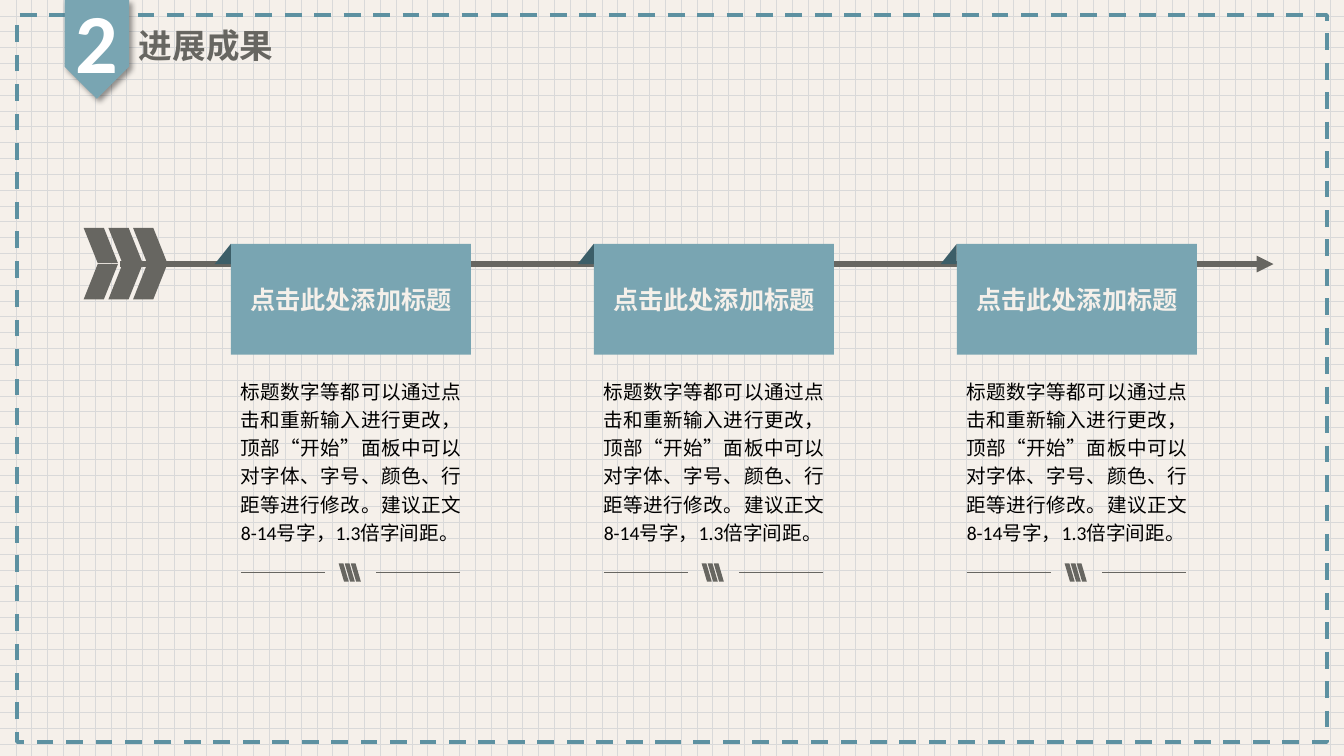
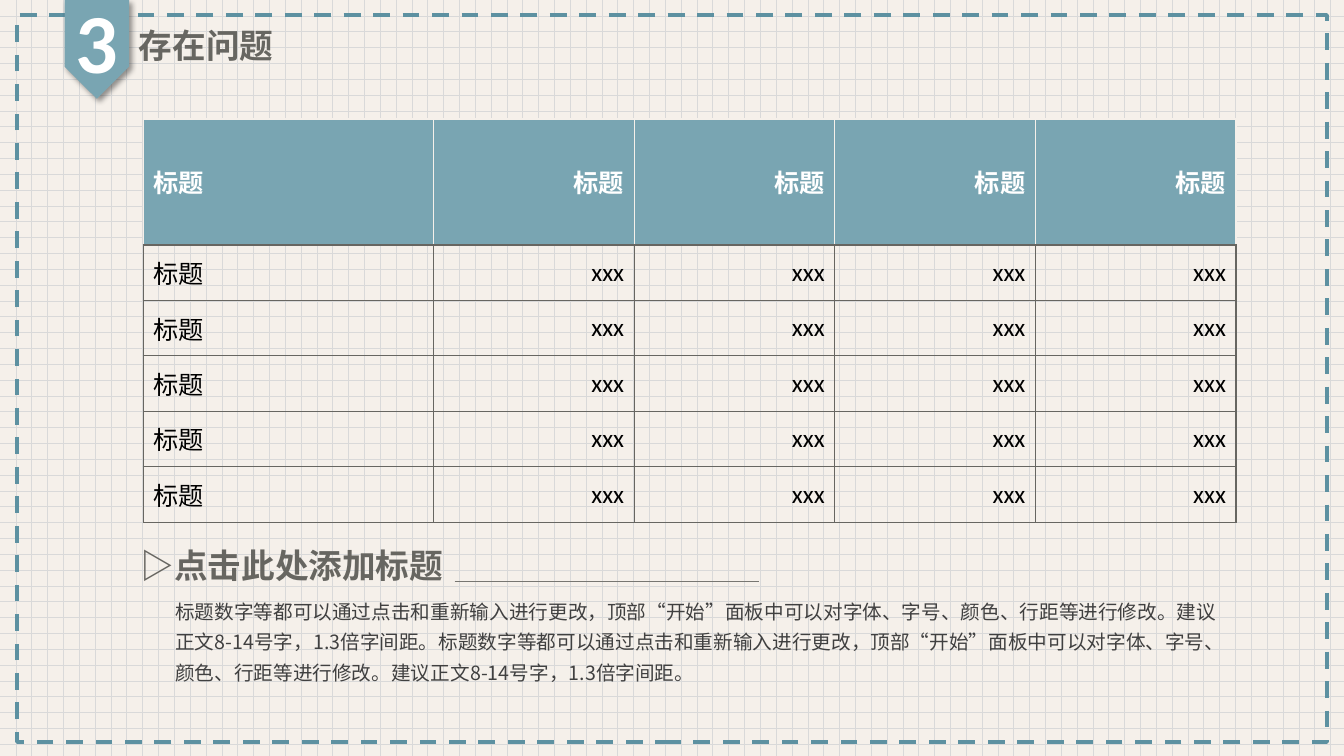
from dataclasses import dataclass

from lxml import etree
from pptx import Presentation
from pptx.dml.color import RGBColor
from pptx.enum.dml import MSO_LINE, MSO_PATTERN
from pptx.enum.shapes import MSO_CONNECTOR, MSO_SHAPE
from pptx.enum.text import MSO_ANCHOR, MSO_AUTO_SIZE, PP_ALIGN
from pptx.oxml import parse_xml
from pptx.oxml.ns import qn
from pptx.util import Inches, Pt

LEFT, RIGHT, CENTER = PP_ALIGN.LEFT, PP_ALIGN.RIGHT, PP_ALIGN.CENTER
JUSTIFY, MIDDLE = PP_ALIGN.JUSTIFY, MSO_ANCHOR.MIDDLE
GROW, STRAIGHT = MSO_AUTO_SIZE.SHAPE_TO_FIT_TEXT, MSO_CONNECTOR.STRAIGHT
RECT, TAG, SLANT = MSO_SHAPE.RECTANGLE, MSO_SHAPE.PENTAGON, MSO_SHAPE.PARALLELOGRAM
FOLD, DASH, GRID = MSO_SHAPE.ISOSCELES_TRIANGLE, MSO_LINE.DASH, MSO_PATTERN.DOTTED_GRID
NS = 'xmlns:a="http://schemas.openxmlformats.org/drawingml/2006/main"'


@dataclass(frozen=True)
class Theme:
    paper: str = "F5F0EA"
    grid: str = "D9D9D9"
    frame: str = "5D91A1"
    teal: str = "79A5B2"
    deep: str = "3C5E68"
    gray: str = "676661"
    rule: str = "777671"
    body: str = "404040"
    black: str = "000000"
    white: str = "FFFFFF"
    latin: str = "Calibri"
    asian: str = "Noto Sans CJK SC"
    digit: int = 60
    title: int = 24
    label: int = 18
    small: int = 14


T = Theme()
rgb = RGBColor.from_string

HINT = ("标题数字等都可以通过点击和重新输入进行更改，顶部“开始”面板中可以对字体、字号、"
        "颜色、行距等进行修改。建议正文8-14号字，1.3倍字间距。")
HEAD = "点击此处添加标题"


def draw(slide, kind, box, fill=None, adjust=None, flip=False):
    """Add a flat shape without outline; box is left, top, width, height in inches."""
    shape = slide.shapes.add_shape(kind, *map(Inches, box))
    shape.shadow.inherit = False
    shape.line.fill.background()
    if fill:
        shape.fill.solid()
        shape.fill.fore_color.rgb = rgb(fill)
    else:
        shape.fill.background()
    if adjust is not None:
        shape.adjustments[0] = adjust
    if flip:
        shape.element.spPr.get_or_add_xfrm().set("flipH", "1")
    return shape


def write(text, frame, size, color, bold=False, align=LEFT, font=T.latin, space=None):
    """Put one run into the first paragraph of a text frame."""
    para = frame.paragraphs[0]
    para.alignment = align
    para.line_spacing = space
    run = para.add_run()
    run.text = text
    run.font.size = Pt(size)
    run.font.bold = bold
    run.font.name = font
    run.font.color.rgb = rgb(color)
    props = run.font._element
    props.set("lang", "zh-CN")
    props.find(qn("a:latin")).addnext(parse_xml(f'<a:ea {NS} typeface="{T.asian}"/>'))


deck = Presentation()
deck.slide_width, deck.slide_height = Inches(13.33), Inches(7.5)
blank = deck.slide_layouts[6]
steps, issues = (deck.slides.add_slide(blank) for _ in range(2))

# Shared master: grid paper and dashed frame
master = deck.slide_master
paper = master.background.fill
paper.patterned()
paper.pattern = GRID
paper.fore_color.rgb = rgb(T.grid)
paper.back_color.rgb = rgb(T.paper)

border = draw(steps, RECT, (0.17, 0.15, 12.99, 7.21))
border.line.color.rgb = rgb(T.frame)
border.line.width = Pt(3)
border.line.dash_style = DASH
border.element.nvSpPr.cNvPr.set("id", "20")
master.shapes.element.append(border.element)

# Numbered tag and title
for slide, digit, title in ((steps, "2", "进展成果"), (issues, "3", "存在问题")):
    tag = draw(slide, TAG, (0.47, 0.17, 0.98, 0.64), T.teal)
    tag.rotation = 90
    glow = tag.element.spPr.find(qn("a:effectLst"))
    glow.append(parse_xml(
        f'<a:outerShdw {NS} blurRad="{Pt(4)}" dist="{Pt(3)}" dir="2700000" '
        f'algn="tl" rotWithShape="0"><a:srgbClr val="{T.black}">'
        '<a:alpha val="40000"/></a:srgbClr></a:outerShdw>'))
    for text, box, size, color, font in (
            (title, (1.28, 0.2, 1.55, 0.5), T.title, T.gray, T.asian),
            (digit, (0.65, -0.15, 0.63, 1.11), T.digit, T.white, T.latin)):
        frame = slide.shapes.add_textbox(*map(Inches, box)).text_frame
        frame.word_wrap = False
        frame.auto_size = GROW
        write(text, frame, size, color, bold=True, font=font)

# Level lines: slide, start, end, height, colour, width, arrow
cards = [2.29 + 3.6 * i for i in range(3)]
lines = [(steps, 1.19, 12.63, 2.62, T.gray, 4, True),
         (issues, 4.51, 7.53, 5.77, T.rule, 0.5, False)]
lines += [(steps, x + start, x + start + 0.83, 5.68, T.gray, 0.5, False)
          for x in cards for start in (0.1, 1.44)]
for slide, start, end, y, color, width, arrow in lines:
    line = slide.shapes.add_connector(
        STRAIGHT, Inches(start), Inches(y), Inches(end), Inches(y))
    line.line.color.rgb = rgb(color)
    line.line.width = Pt(width)
    if arrow:
        etree.SubElement(line.line._get_or_add_ln(), qn("a:tailEnd"), type="triangle")
    etree.SubElement(line.element.spPr, qn("a:effectLst"))

# Feathers of the timeline arrow
for y, flip in ((2.26, True), (2.62, False)):
    for i in range(3):
        draw(steps, SLANT, (0.83 + 0.245 * i, y, 0.34, 0.35), T.gray, 0.41, flip)

# Timeline cards
for x in cards:
    card = draw(steps, RECT, (x, 2.42, 2.38, 1.1), T.teal)
    write(HEAD, card.text_frame, T.label, T.paper, bold=True, align=CENTER)
    draw(steps, FOLD, (x - 0.16, 2.42, 0.16, 0.2), T.deep, 0, True)
    note = steps.shapes.add_textbox(*map(Inches, (x, 3.67, 2.38, 1.78))).text_frame
    note.word_wrap = True
    note.auto_size = GROW
    write(HINT, note, T.small, T.black, align=JUSTIFY, space=1.2)
    for i in range(3):
        draw(steps, SLANT, (x + 1.07 + 0.06 * i, 5.59, 0.1, 0.18), T.gray, 0.53, True)

# Table of issues
rows = [["标题"] * 5] + [["标题"] + ["xxx"] * 4 for _ in range(5)]
table = issues.shapes.add_table(6, 5, *map(Inches, (1.42, 1.18, 10.84, 4))).table
table.horz_banding = False
for i, column in enumerate(table.columns):
    column.width = Inches(1.99 if i else 2.88)
for i, row in enumerate(table.rows):
    row.height = Inches(0.55 if i else 1.25)
    for j, cell in enumerate(row.cells):
        head = i == 0
        props = cell._tc.get_or_add_tcPr()
        for side in "LRTB":
            color = T.paper if head and side != "B" else T.gray
            props.append(parse_xml(
                f'<a:ln{side} {NS} w="{Pt(1)}"><a:solidFill>'
                f'<a:srgbClr val="{color}"/></a:solidFill></a:ln{side}>'))
        if head:
            cell.fill.solid()
            cell.fill.fore_color.rgb = rgb(T.teal)
        else:
            cell.fill.background()
        cell.vertical_anchor = MIDDLE
        write(rows[i][j], cell.text_frame, T.label, T.white if head else T.black,
              bold=head, align=RIGHT if j else LEFT)

# Closing remark
lead = issues.shapes.add_textbox(*map(Inches, (1.28, 5.36, 3.23, 0.5))).text_frame
lead.word_wrap = False
lead.auto_size = GROW
write("▷" + HEAD, lead, T.title, T.gray, bold=True, align=CENTER)

note = issues.shapes.add_textbox(*map(Inches, (1.64, 5.83, 10.6, 1.02))).text_frame
note.word_wrap = True
note.auto_size = GROW
write(HINT * 2, note, T.small, T.body, font=T.asian, space=1.3)

deck.save("out.pptx")
